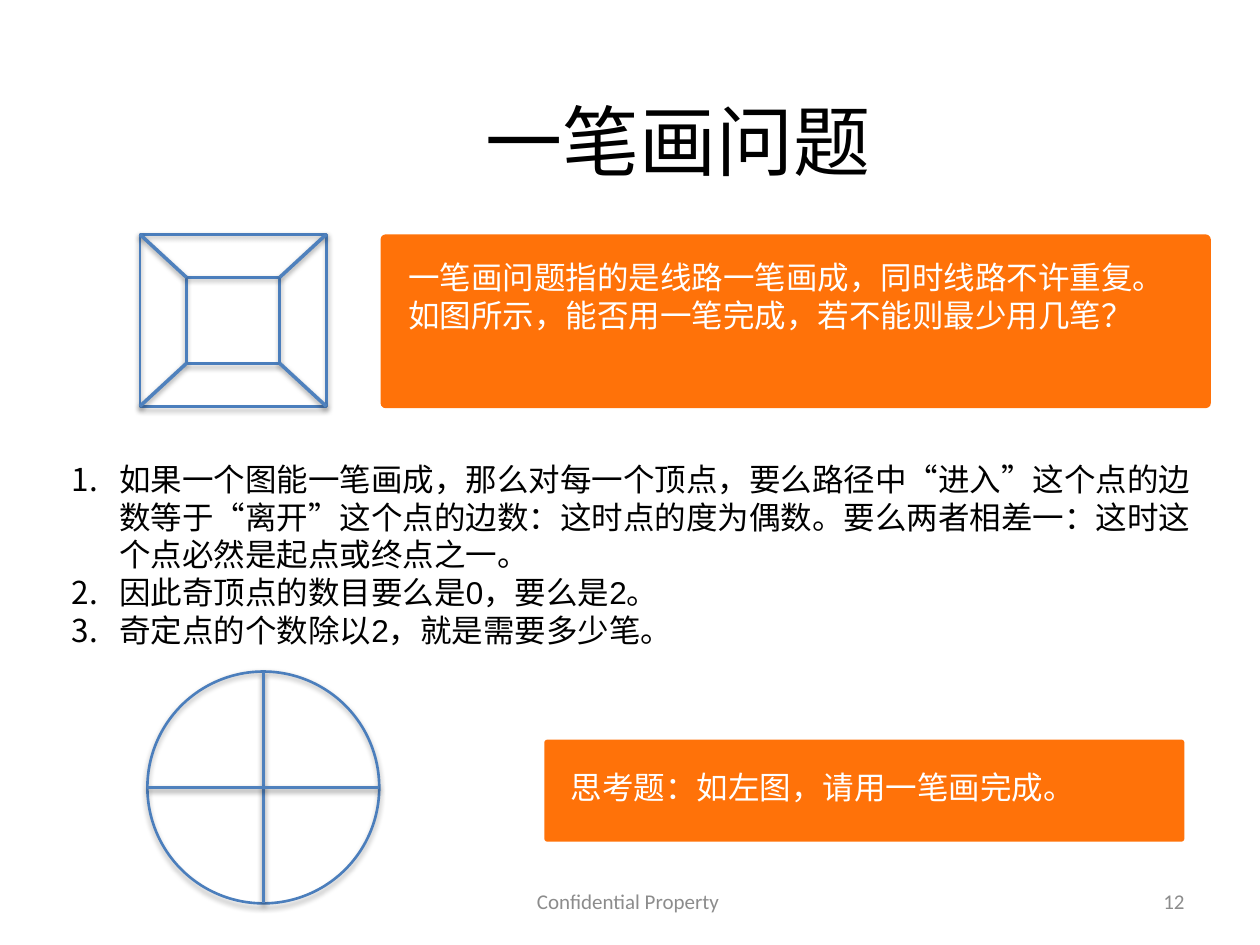
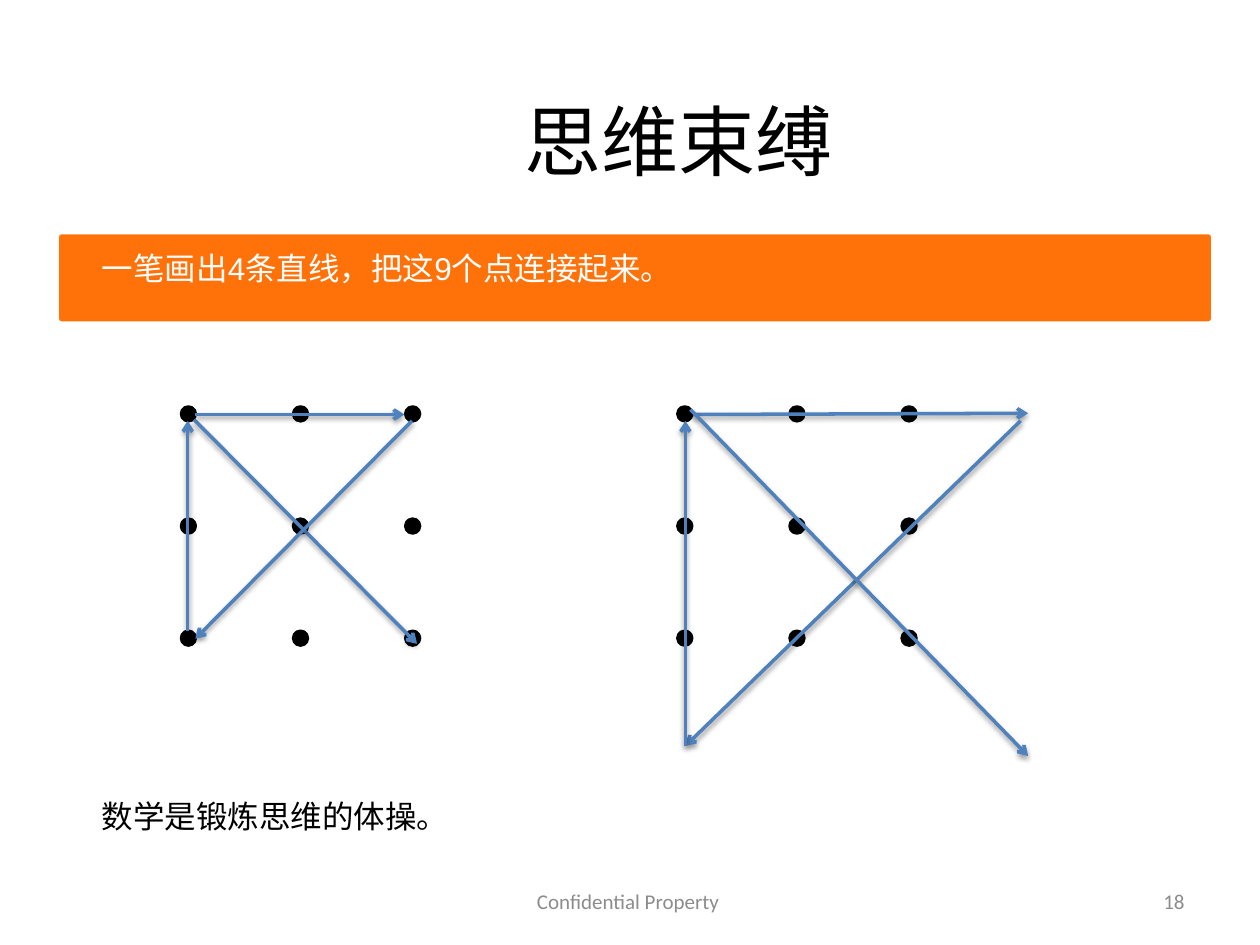
from lxml.etree import SubElement
from pptx import Presentation
from pptx.dml.color import RGBColor
from pptx.enum.shapes import MSO_CONNECTOR, MSO_SHAPE
from pptx.enum.text import MSO_ANCHOR, MSO_AUTO_SIZE, PP_ALIGN
from pptx.oxml.ns import qn
from pptx.util import Inches, Pt

# The page is a grid of 100 columns and 75 rows.
tint = RGBColor.from_string
CELL = Inches(0.1)
BLACK, WHITE, GRAY = "000000", "FFFFFF", "8C8C8C"
ORANGE, BLUE, EDGE = "FF7209", "4F81BD", "4B7EBC"
RECT, ROUND, OVAL = MSO_SHAPE.RECTANGLE, MSO_SHAPE.ROUNDED_RECTANGLE, MSO_SHAPE.OVAL
TITLE = {"size": Pt(44), "name": "Arial"}
BODY = {"size": Pt(18), "name": "Arial"}
SMALL = {"size": Pt(12), "name": "Calibri"}


def write(slide, box, lines, form=BODY, color=BLACK, align=PP_ALIGN.LEFT, numbered=False):
    frame = slide.shapes.add_textbox(*(int(n * CELL) for n in box)).text_frame
    frame.word_wrap = True
    if form is SMALL:
        frame.vertical_anchor = MSO_ANCHOR.MIDDLE
    else:
        frame.auto_size = MSO_AUTO_SIZE.SHAPE_TO_FIT_TEXT
    for i, line in enumerate(lines):
        para = frame.add_paragraph() if i else frame.paragraphs[0]
        para.alignment = align
        if numbered:
            props = para._p.get_or_add_pPr()
            indent = Inches(0.38)
            props.set("marL", str(indent))
            props.set("indent", str(-indent))
            SubElement(props, qn("a:buFont"), typeface="+mj-lt")
            SubElement(props, qn("a:buAutoNum"), type="arabicPeriod")
        run = para.add_run()
        run.text = line
        for key, value in form.items():
            setattr(run.font, key, value)
        run.font.color.rgb = tint(color)


def draw(slide, kind, box, fill=None, edge=None, width=2, shade=None, arrow=False):
    """Draw a preset shape, or a line from point to point if kind is None."""
    ends = [int(n * CELL) for n in box]
    if kind is None:
        item = slide.shapes.add_connector(MSO_CONNECTOR.STRAIGHT, *ends)
    else:
        item = slide.shapes.add_shape(kind, *ends)
        if kind == ROUND:
            item.adjustments[0] = 0.03
        if fill:
            item.fill.solid()
            item.fill.fore_color.rgb = tint(fill)
        else:
            item.fill.background()
    if edge:
        item.line.color.rgb = tint(edge)
        item.line.width = Pt(width)
    else:
        item.line.fill.background()
    if arrow:
        SubElement(item.line._get_or_add_ln(), qn("a:tailEnd"), type="arrow")
    effects = SubElement(item._element.spPr, qn("a:effectLst"))
    if shade:
        alpha, gap = shade
        outer = SubElement(effects, qn("a:outerShdw"), blurRad=str(Pt(3.1)),
                           dist=str(Pt(gap)), dir="5400000", rotWithShape="0")
        black = SubElement(outer, qn("a:srgbClr"), val=BLACK)
        SubElement(black, qn("a:alpha"), val=str(alpha * 1000))


OUTLINE = {"edge": EDGE, "width": 1.5, "shade": (35, 1.8)}
STROKE = {"edge": BLUE, "shade": (38, 1.6)}

deck = Presentation()
deck.slide_width, deck.slide_height = 100 * CELL, 75 * CELL
slides = []
for title, number in (("一笔画问题", "12"), ("思维束缚", "18")):
    page = deck.slides.add_slide(deck.slide_layouts[6])
    write(page, (34, 69.5, 31.7, 4), ["Confidential Property"], SMALL, GRAY, PP_ALIGN.CENTER)
    write(page, (71.7, 69.5, 23.3, 4), [number], SMALL, GRAY, PP_ALIGN.RIGHT)
    write(page, (18.5, 6.9, 70.7, 8.4), [title], TITLE, align=PP_ALIGN.CENTER)
    slides.append(page)
stroke, dots = slides

# Nested frames joined at their corners
left, top, wide, high = 11.1, 18.6, 14.8, 13.65
draw(stroke, RECT, (left, top, wide, high), **OUTLINE)
draw(stroke, RECT, (left + wide / 4, top + high / 4, wide / 2, high / 2), **OUTLINE)
for across in (0, 1):
    for down in (0, 1):
        draw(stroke, None, (left + across * wide, top + down * high,
                            left + wide * (1 + 2 * across) / 4,
                            top + high * (1 + 2 * down) / 4), **STROKE)

draw(stroke, ROUND, (30.2, 18.6, 65.9, 13.8), ORANGE)
write(stroke, (31.4, 20, 62.7, 7.1),
      ["一笔画问题指的是线路一笔画成，同时线路不许重复。如图所示，能否用一笔完成，若不能则最少用几笔？"],
      color=WHITE)
write(stroke, (4.7, 36, 91.4, 19.2), [
    "如果一个图能一笔画成，那么对每一个顶点，要么路径中“进入”这个点的边数等于“离开”这个点的边数："
    "这时点的度为偶数。要么两者相差一：这时这个点必然是起点或终点之一。",
    "因此奇顶点的数目要么是0，要么是2。",
    "奇定点的个数除以2，就是需要多少笔。",
], numbered=True)
draw(stroke, ROUND, (43.2, 58.7, 50.8, 8.1), ORANGE)
write(stroke, (44.3, 60.5, 45.7, 4), ["思考题：如左图，请用一笔画完成。"], color=WHITE)

# Circle with its two diameters
left, top, size = 11.7, 53.3, 18.4
mid, half = left + size / 2, top + size / 2
draw(stroke, OVAL, (left, top, size, size), **OUTLINE)
draw(stroke, None, (mid, top, mid, top + size), **STROKE)
draw(stroke, None, (left, half, left + size, half), **STROKE)

draw(dots, ROUND, (4.7, 18.6, 91.4, 6.9), ORANGE)
write(dots, (7.1, 19.3, 86.9, 4), ["一笔画出4条直线，把这9个点连接起来。"], color=WHITE)

# Two grids of nine dots, each with its four strokes
top, step, size = 32.3, 8.9, 1.1
tries = (
    (14.4, ((15.4, 33.3, 33.1, 51.1), (15.5, 32.9, 32.1, 32.9),
            (32.7, 33.4, 15.5, 50.7), (14.9, 50.1, 14.9, 33.4))),
    (53.8, ((55, 32.9, 81.6, 32.8), (81, 33.4, 54.4, 59.2),
            (54.4, 59.2, 54.4, 33.4), (54.8, 32.5, 81.6, 60))),
)
for left, moves in tries:
    for row in range(3):
        for col in range(3):
            draw(dots, OVAL, (left + col * step, top + row * step, size, size), BLACK, BLACK)
    for move in moves:
        draw(dots, None, move, arrow=True, **STROKE)

write(dots, (7.1, 62.8, 32.2, 4), ["数学是锻炼思维的体操。"])

deck.save("out.pptx")
